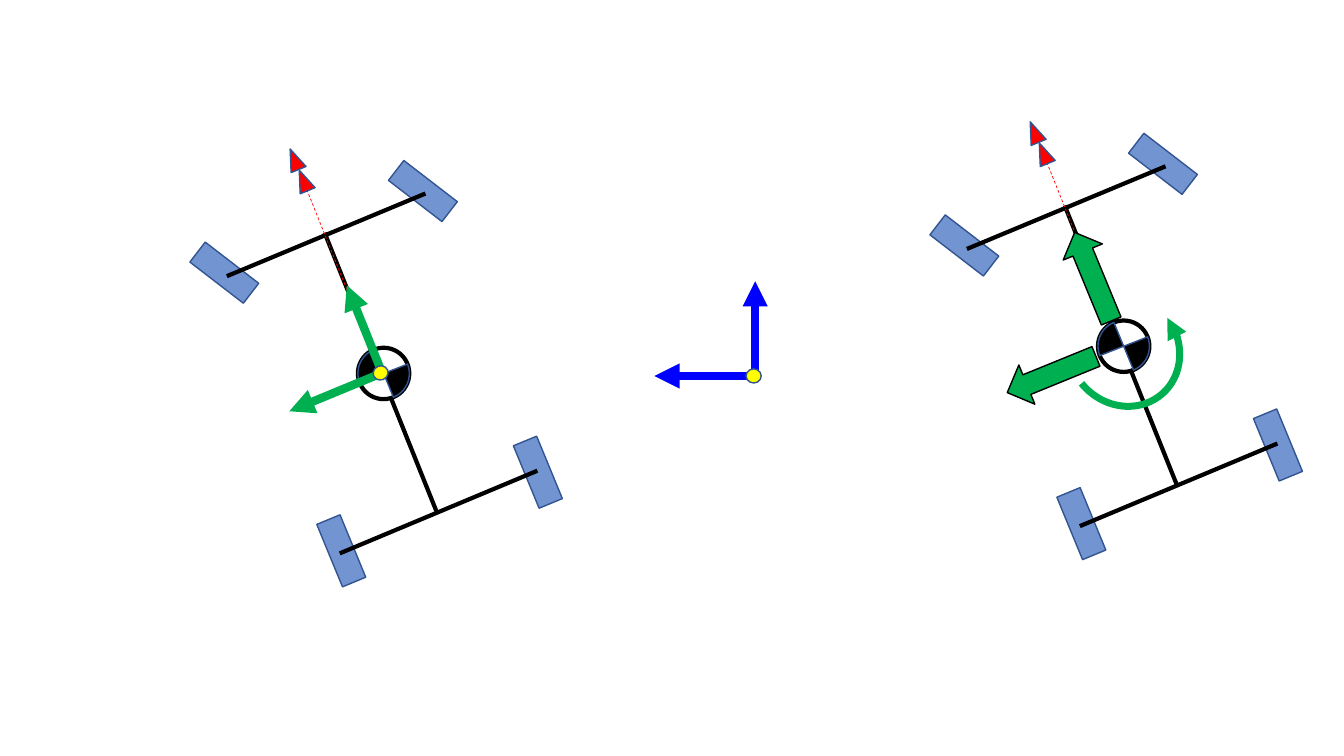
from pptx import Presentation
from pptx.dml.color import RGBColor
from pptx.enum.dml import MSO_LINE
from pptx.enum.shapes import MSO_CONNECTOR, MSO_SHAPE
from pptx.oxml.ns import qn
from pptx.util import Inches, Pt
from lxml import etree

RECTANGLE, TRIANGLE, ELLIPSE = MSO_SHAPE.RECTANGLE, MSO_SHAPE.ISOSCELES_TRIANGLE, MSO_SHAPE.OVAL
PIE, ARC, UP_ARROW = MSO_SHAPE.PIE, MSO_SHAPE.ARC, MSO_SHAPE.UP_ARROW
STRAIGHT, DASH = MSO_CONNECTOR.STRAIGHT, MSO_LINE.DASH

THEME = {
    "fills": {"wheel": "4472C4", "heading": "FF0000", "white": "FFFFFF", "black": "000000",
              "force": "00B050", "origin": "FFFF00"},
    "wheel_alpha": 75,
    "lines": {
        "outline": ("325491", {"width": Pt(1)}),
        "thin": ("000000", {"width": Pt(1)}),
        "chassis": ("000000", {"width": Pt(3)}),
        "heading": ("FF0000", {"width": Pt(0.5), "dash_style": DASH}),
        "body_axis": ("00B050", {"width": Pt(6)}),
        "world_axis": ("0000FF", {"width": Pt(6)}),
        "yaw": ("00B050", {"width": Pt(5)}),
    },
}
TILT = 337.6  # heading of the vehicle, degrees
STEER = 307.6  # heading of the front wheels


def style_line(item, style, arrow_end=None):
    color, values = THEME["lines"][style]
    item.line.color.rgb = RGBColor.from_string(color)
    for name, value in values.items():
        setattr(item.line, name, value)
    if arrow_end:
        line_xml = item.line.color and item._element.spPr.find(qn("a:ln"))
        etree.SubElement(line_xml, qn(f"a:{arrow_end}"), type="triangle")


def add_part(shapes, kind, box, rotation=0, fill=None, line="outline", angles=(), arrow_end=None):
    shape = shapes.add_shape(kind, *[Inches(value) for value in box])
    shape.rotation = rotation
    shape.shadow.inherit = False
    for index, angle in enumerate(angles):
        shape.adjustments[index] = angle
    if fill:
        shape.fill.solid()
        shape.fill.fore_color.rgb = RGBColor.from_string(THEME["fills"][fill])
    else:
        shape.fill.background()
    style_line(shape, line, arrow_end)
    return shape


presentation = Presentation()
presentation.slide_width, presentation.slide_height = Inches(13.33), Inches(7.5)
slide = presentation.slides.add_slide(presentation.slide_layouts[6])

# Groups from back to front: left vehicle, world axes, right vehicle
left_vehicle, world, right_vehicle = [slide.shapes.add_group_shape().shapes for _ in range(3)]

# Vehicle parts, placed for the left vehicle
WHEELS = [(2.1, 2.37, STEER), (5.21, 4.35, TILT), (3.26, 5.13, TILT), (4.07, 1.56, STEER)]
RODS = [
    (3.22, 2.31, 4.34, 5.1, "chassis"),
    (5.33, 4.67, 3.37, 5.49, "chassis"),
    (4.22, 1.92, 2.25, 2.74, "chassis"),
    (2.95, 1.65, 3.84, 3.87, "heading"),
]
HEADING_TIPS = [(2.93, 1.68), (2.84, 1.47)]
QUADRANT = (108.53, 162)

lines = []
for shapes, dx, dy in [(left_vehicle, 0, 0), (right_vehicle, 7.34, -0.27)]:
    for left, top, rotation in WHEELS:
        wheel = add_part(shapes, RECTANGLE, (left + dx, top + dy, 0.25, 0.67), rotation, "wheel")
        color_xml = wheel._element.spPr.find(qn("a:solidFill"))[0]
        etree.SubElement(color_xml, qn("a:alpha"), val=str(THEME["wheel_alpha"] * 1000))

    for x1, y1, x2, y2, style in RODS:
        ends = (x1 + dx, y1 + dy, x2 + dx, y2 + dy)
        rod = shapes.add_connector(STRAIGHT, *[Inches(value) for value in ends])
        style_line(rod, style)
        lines.append(rod)

    for left, top in HEADING_TIPS:
        add_part(shapes, TRIANGLE, (left + dx, top + dy, 0.16, 0.22), TILT, "heading")

    # Centre of mass
    center_box = (3.55 + dx, 3.45 + dy, 0.51, 0.51)
    add_part(shapes, ELLIPSE, center_box, TILT, "white", "chassis")
    for rotation in (TILT, TILT - 180):
        add_part(shapes, PIE, center_box, rotation, "black", angles=QUADRANT)

# Body axes and world axes, each with a dot at the origin
AXES = [
    (left_vehicle, "body_axis", (3.79, 3.7), [(3.44, 2.83), (2.87, 4.08)], (3.7, 3.63), TILT),
    (world, "world_axis", (7.49, 3.73), [(7.49, 2.79), (6.49, 3.73)], (7.4, 3.66), 0),
]
for shapes, style, origin, tips, dot, rotation in AXES:
    for tip in tips:
        axis = shapes.add_connector(STRAIGHT, *[Inches(value) for value in origin + tip])
        style_line(axis, style, "tailEnd")
        lines.append(axis)
    add_part(shapes, ELLIPSE, (*dot, 0.15, 0.14), rotation, "origin")

for line in lines:
    etree.SubElement(line._element.spPr, qn("a:effectLst"))

# Yaw rotation and forces on the right vehicle
add_part(slide.shapes, ARC, (10.61, 2.89, 1.07, 1.16), 139.1, line="yaw",
         angles=(110.77, 1.45), arrow_end="headEnd")
for left, top, rotation in [(10.63, 2.27, TILT), (10.22, 3.24, 247.8)]:
    add_part(slide.shapes, UP_ARROW, (left, top, 0.42, 0.95), rotation, "force", "thin")

presentation.save("out.pptx")
